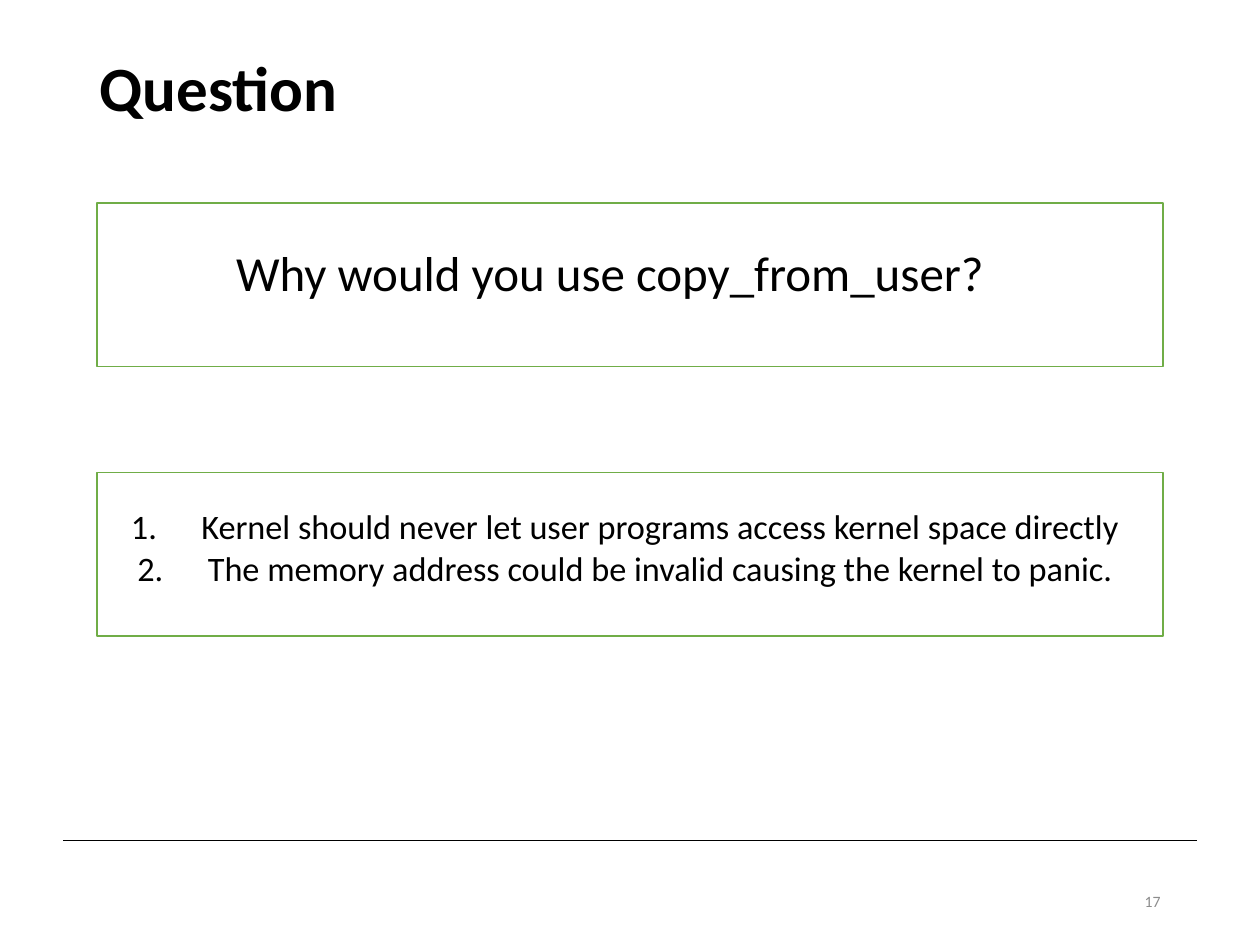
from lxml import etree
from pptx import Presentation
from pptx.dml.color import RGBColor
from pptx.enum.shapes import MSO_CONNECTOR, MSO_SHAPE
from pptx.enum.text import MSO_ANCHOR, PP_ALIGN
from pptx.oxml.ns import qn
from pptx.util import Inches, Pt

BLACK = RGBColor(0x00, 0x00, 0x00)
GRAY = RGBColor(0x8C, 0x8C, 0x8C)
GREEN = RGBColor(0x70, 0xAD, 0x47)
FONT = "Calibri"
STRAIGHT = MSO_CONNECTOR.STRAIGHT
RECTANGLE = MSO_SHAPE.RECTANGLE
TOP, MIDDLE = MSO_ANCHOR.TOP, MSO_ANCHOR.MIDDLE
LEFT, CENTER, RIGHT = PP_ALIGN.LEFT, PP_ALIGN.CENTER, PP_ALIGN.RIGHT


def number_paragraph(para, indent):
    properties = para._p.get_or_add_pPr()
    properties.set("marL", str(Inches(indent)))
    properties.set("indent", str(-Inches(indent)))
    etree.SubElement(properties, qn("a:buFont"), typeface="+mj-lt")
    etree.SubElement(properties, qn("a:buAutoNum"), type="arabicPeriod")


def add_text(page, place, lines, size, color=BLACK, bold=False, align=LEFT,
             anchor=TOP, spacing=0.9, numbered=False):
    box = page.shapes.add_textbox(*map(Inches, place))
    frame = box.text_frame
    frame.word_wrap = True
    frame.vertical_anchor = anchor
    for index, line in enumerate(lines):
        para = frame.add_paragraph() if index else frame.paragraphs[0]
        para.text = line
        para.alignment = align
        para.line_spacing = spacing
        if index:
            para.space_before = Pt(7.5)
        if numbered:
            number_paragraph(para, 0.56)
        para.font.name = FONT
        para.font.size = Pt(size)
        para.font.bold = bold
        para.font.color.rgb = color


def add_frame(page, top):
    frame = page.shapes.add_shape(
        RECTANGLE, Inches(0.77), Inches(top), Inches(8.46), Inches(1.3))
    frame.shadow.inherit = False
    frame.fill.background()
    frame.line.color.rgb = GREEN
    frame.line.width = Pt(1)


def add_footer_rule(page):
    rule = page.shapes.add_connector(
        STRAIGHT, Inches(0.5), Inches(6.67), Inches(9.5), Inches(6.67))
    rule.line.color.rgb = BLACK
    rule.line.width = Pt(0.5)
    etree.SubElement(rule._element.spPr, qn("a:effectLst"))


def main():
    deck = Presentation()
    deck.slide_width, deck.slide_height = Inches(10), Inches(7.5)
    page = deck.slides.add_slide(deck.slide_layouts[6])

    add_footer_rule(page)
    add_text(page, (0.69, 0, 8.62, 1.45), ["Question"], 36, bold=True, anchor=MIDDLE)
    add_text(page, (0.53, 1.93, 8.62, 0.78), ["Why would you use copy_from_user?"],
             28, align=CENTER)
    add_text(page, (7.06, 6.95, 2.25, 0.4), ["17"], 9, GRAY,
             align=RIGHT, anchor=MIDDLE, spacing=1.0)
    add_frame(page, 1.61)
    answers = [
        "Kernel should never let user programs access kernel space directly",
        "The memory address could be invalid causing the kernel to panic.",
    ]
    add_text(page, (0.69, 4.05, 8.54, 0.78), answers, 19.6,
             align=CENTER, spacing=0.7, numbered=True)
    add_frame(page, 3.75)
    deck.save("out.pptx")


if __name__ == "__main__":
    main()
